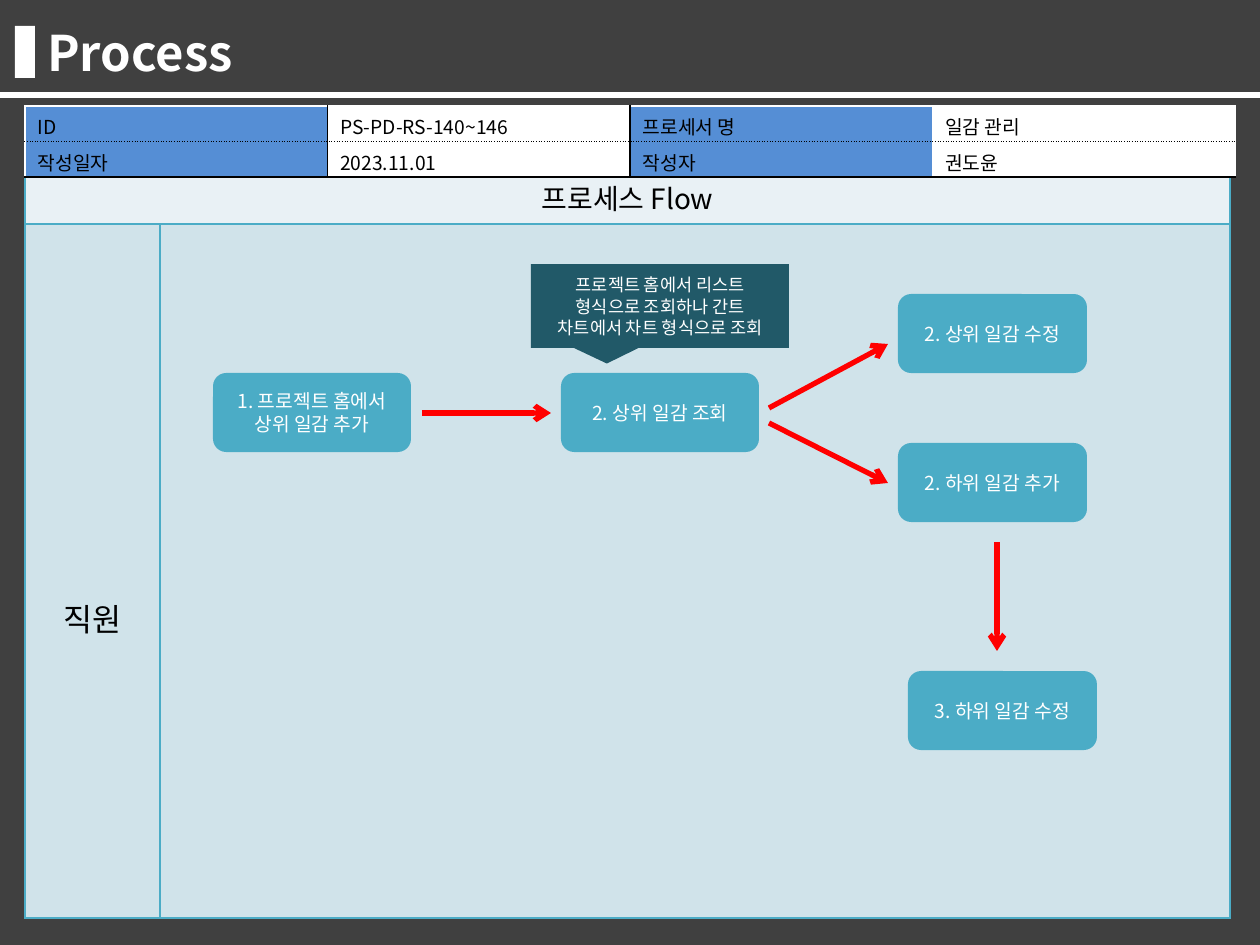
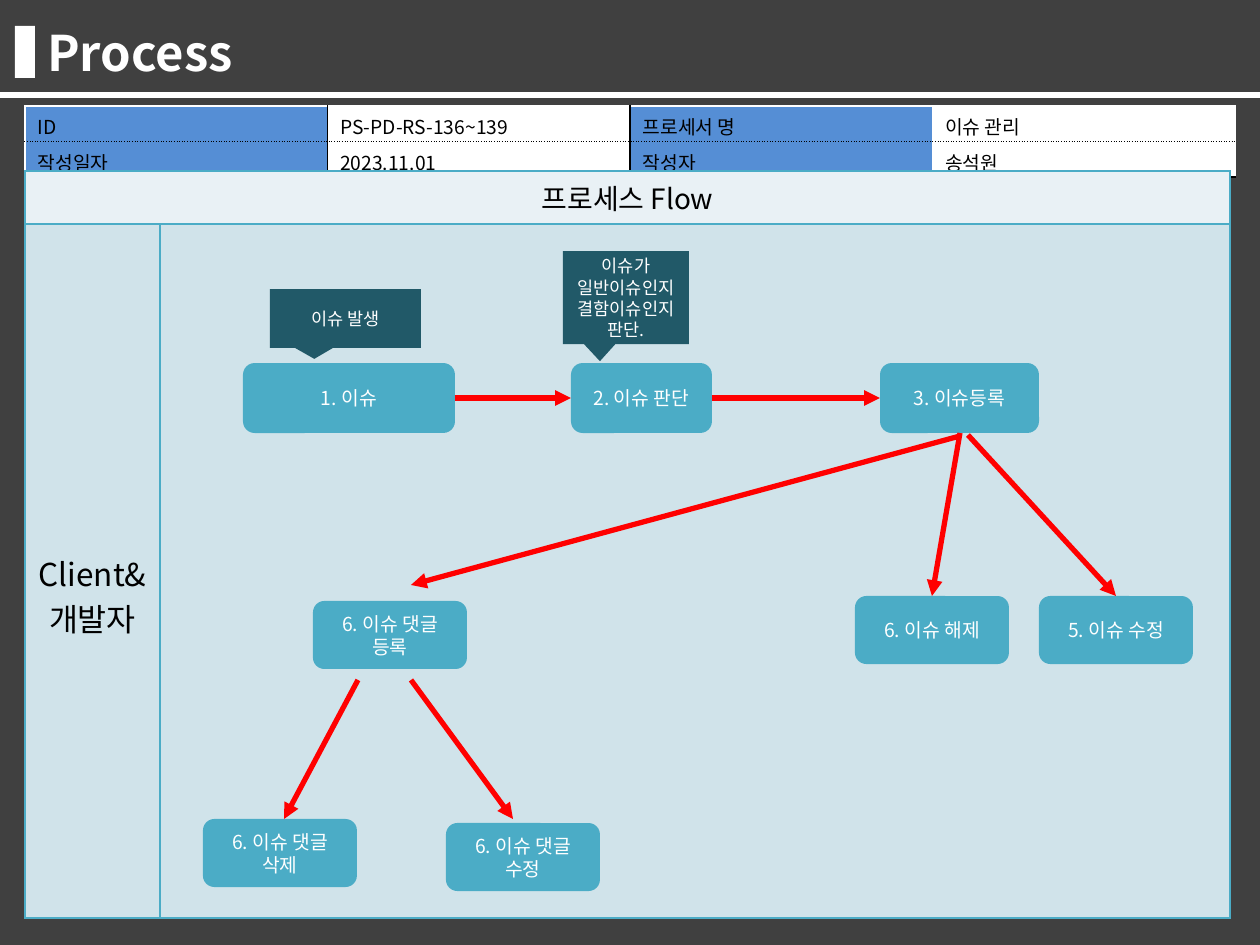
from lxml.etree import SubElement
from pptx import Presentation
from pptx.dml.color import RGBColor
from pptx.enum.shapes import MSO_CONNECTOR as CONN, MSO_SHAPE as SHAPE
from pptx.enum.text import MSO_ANCHOR as ANCHOR, PP_ALIGN as ALIGN
from pptx.oxml.ns import qn
from pptx.util import Emu, Pt

PX_PER_INCH = 126
FONT = "Noto Sans CJK KR"
COLORS = {
    "page": "404040",
    "white": "FFFFFF",
    "black": "000000",
    "label": "558ED5",
    "teal": "4BACC6",
    "header": "E9F1F5",
    "lane": "D0E3EA",
    "note": "215968",
    "arrow": "FF0000",
}


def px(n):
    """Turn pixels into EMU."""
    return Emu(round(n * 914400 / PX_PER_INCH))


def rgb(name):
    """Look up a colour by name."""
    return RGBColor.from_string(COLORS[name])


def write(tf, text, size, color, align=ALIGN.LEFT, bold=False):
    """Fill a text frame, one paragraph per line of text."""
    for i, line in enumerate(text.split("\n")):
        p = tf.paragraphs[0] if i == 0 else tf.add_paragraph()
        p.text = line
        p.alignment = align
        font = p.font
        font.size, font.bold, font.name = Pt(size), bold, FONT
        font.color.rgb = rgb(color)
        props = p._p.pPr.find(qn("a:defRPr"))
        SubElement(props, qn("a:ea"), typeface=FONT)


def add_block(s, kind, box, fill, text="", size=11):
    """Add a filled preset shape with centred white text."""
    sp = s.shapes.add_shape(kind, *map(px, box))
    sp.shadow.inherit = False
    sp.fill.solid()
    sp.fill.fore_color.rgb = rgb(fill)
    sp.line.fill.background()
    if text:
        tf = sp.text_frame
        tf.word_wrap = True
        tf.vertical_anchor = ANCHOR.MIDDLE
        write(tf, text, size, "white", ALIGN.CENTER)
    return sp


def add_step(s, box, text):
    """Add a rounded process step."""
    add_block(s, SHAPE.ROUNDED_RECTANGLE, box, "teal", text)


def add_note(s, box, text):
    """Add a dark callout pointing down at a step."""
    sp = add_block(s, SHAPE.RECTANGULAR_CALLOUT, box, "note", text, 10)
    sp.adjustments[0], sp.adjustments[1] = -0.206, 0.685


def add_arrow(s, points, head):
    """Add a red arrow along x1, y1, x2, y2."""
    c = s.shapes.add_connector(CONN.STRAIGHT, *map(px, points))
    c.line.color.rgb = rgb("arrow")
    c.line.width = Pt(3)
    SubElement(c.line._get_or_add_ln(), qn("a:tailEnd"), type=head)
    SubElement(c._element.spPr, qn("a:effectLst"))


def style_cell(cell, fill, borders):
    """Fill a cell; borders holds (colour, dash) for left, right, top, bottom."""
    tc_pr = cell._tc.get_or_add_tcPr()
    for side, (color, dash) in zip("LRTB", borders):
        ln = SubElement(tc_pr, qn(f"a:ln{side}"), w=str(Pt(1)))
        solid = SubElement(ln, qn("a:solidFill"))
        SubElement(solid, qn("a:srgbClr"), val=COLORS[color])
        SubElement(ln, qn("a:prstDash"), val=dash)
    cell.fill.solid()
    cell.fill.fore_color.rgb = rgb(fill)


def add_info_table(s, rows):
    """Add the table of label and value pairs above the flow."""
    table = s.shapes.add_table(2, 4, px(25), px(106), px(1210), px(71)).table
    white, black, dotted = ("white", "solid"), ("black", "solid"), ("black", "sysDot")
    across = [white, dotted, black]
    down = [white, black, black, white, white]
    for r, row in enumerate(rows):
        for c, text in enumerate(row):
            cell = table.cell(r, c)
            cell.margin_bottom = 0
            style_cell(cell, "white" if c % 2 else "label",
                       (*down[c:c + 2], *across[r:r + 2]))
            write(cell.text_frame, text, 11, "black")


def add_flow_table(s, role):
    """Add the swimlane: header row, role column and empty flow area."""
    table = s.shapes.add_table(2, 2, px(25), px(171), px(1205), px(747)).table
    table.columns[0].width, table.columns[1].width = px(135), px(1070)
    table.rows[0].height, table.rows[1].height = px(53), px(694)
    for r, fill in enumerate(("header", "lane")):
        for c in range(2):
            style_cell(table.cell(r, c), fill, [("teal", "solid")] * 4)
    table.cell(0, 0).merge(table.cell(0, 1))
    write(table.cell(0, 0).text_frame, "프로세스 Flow", 16, "black", ALIGN.CENTER)
    cell = table.cell(1, 0)
    cell.vertical_anchor = ANCHOR.BOTTOM
    cell.margin_bottom = px(277)
    write(cell.text_frame, role, 18, "black", ALIGN.CENTER)


def add_process_slide(prs):
    """Add a slide with the dark page, title and white bars."""
    s = prs.slides.add_slide(prs.slide_layouts[6])
    add_block(s, SHAPE.RECTANGLE, (0, 0, 1260, 945), "page")
    tf = s.shapes.add_textbox(px(35), px(16), px(1131), px(72)).text_frame
    tf.word_wrap = True
    tf.vertical_anchor = ANCHOR.MIDDLE
    write(tf, "Process", 28, "white", bold=True)
    add_block(s, SHAPE.RECTANGLE, (15, 26, 20, 52), "white")
    add_block(s, SHAPE.RECTANGLE, (0, 92, 1260, 6), "white")
    return s


def add_task_slide(prs):
    """Build the task management process."""
    s = add_process_slide(prs)
    add_flow_table(s, "직원")
    add_info_table(s, [("ID", "PS-PD-RS-140~146", "프로세서 명", "일감 관리"),
                       ("작성일자", "2023.11.01", "작성자", "권도윤")])
    for x, y, w, text in [(213, 373, 198, "1. 프로젝트 홈에서 상위 일감 추가"),
                          (561, 373, 198, "2. 상위 일감 조회"),
                          (898, 294, 189, "2. 상위 일감 수정"),
                          (898, 443, 189, "2. 하위 일감 추가"),
                          (908, 671, 189, "3. 하위 일감 수정")]:
        add_step(s, (x, y, w, 79), text)
    add_note(s, (531, 264, 258, 84),
             "프로젝트 홈에서 리스트 형식으로 조회하나 간트 차트에서 차트 형식으로 조회")
    for points in [(422, 413, 551, 413), (769, 408, 888, 344),
                   (769, 423, 888, 483), (997, 542, 997, 651)]:
        add_arrow(s, points, "arrow")


def add_issue_slide(prs):
    """Build the issue management process."""
    s = add_process_slide(prs)
    add_info_table(s, [("ID", "PS-PD-RS-136~139", "프로세서 명", "이슈 관리"),
                       ("작성일자", "2023.11.01", "작성자", "송석원")])
    add_flow_table(s, "Client&\n개발자")
    for x, w, text in [(243, 212, "1. 이슈"), (571, 141, "2. 이슈 판단"),
                       (880, 159, "3. 이슈등록")]:
        add_step(s, (x, 363, w, 70), text)
    for x, y, text in [(1039, 596, "5. 이슈 수정"), (855, 596, "6. 이슈 해제"),
                       (313, 601, "6. 이슈 댓글 등록"),
                       (446, 823, "6. 이슈 댓글 수정"),
                       (203, 819, "6. 이슈 댓글 삭제")]:
        add_step(s, (x, y, 154, 68), text)
    add_note(s, (270, 289, 151, 59), "이슈 발생")
    add_note(s, (563, 251, 126, 93), "이슈가 일반이슈인지 결함이슈인지 판단.")
    for points in [(455, 398, 571, 398), (712, 398, 880, 398),
                   (968, 435, 1116, 596), (960, 433, 932, 596),
                   (960, 436, 411, 585), (358, 680, 284, 819),
                   (411, 680, 513, 819)]:
        add_arrow(s, points, "triangle")


def main():
    """Build and save the presentation."""
    prs = Presentation()
    prs.slide_width, prs.slide_height = px(1260), px(945)
    add_task_slide(prs)
    add_issue_slide(prs)
    prs.save("out.pptx")


main()
